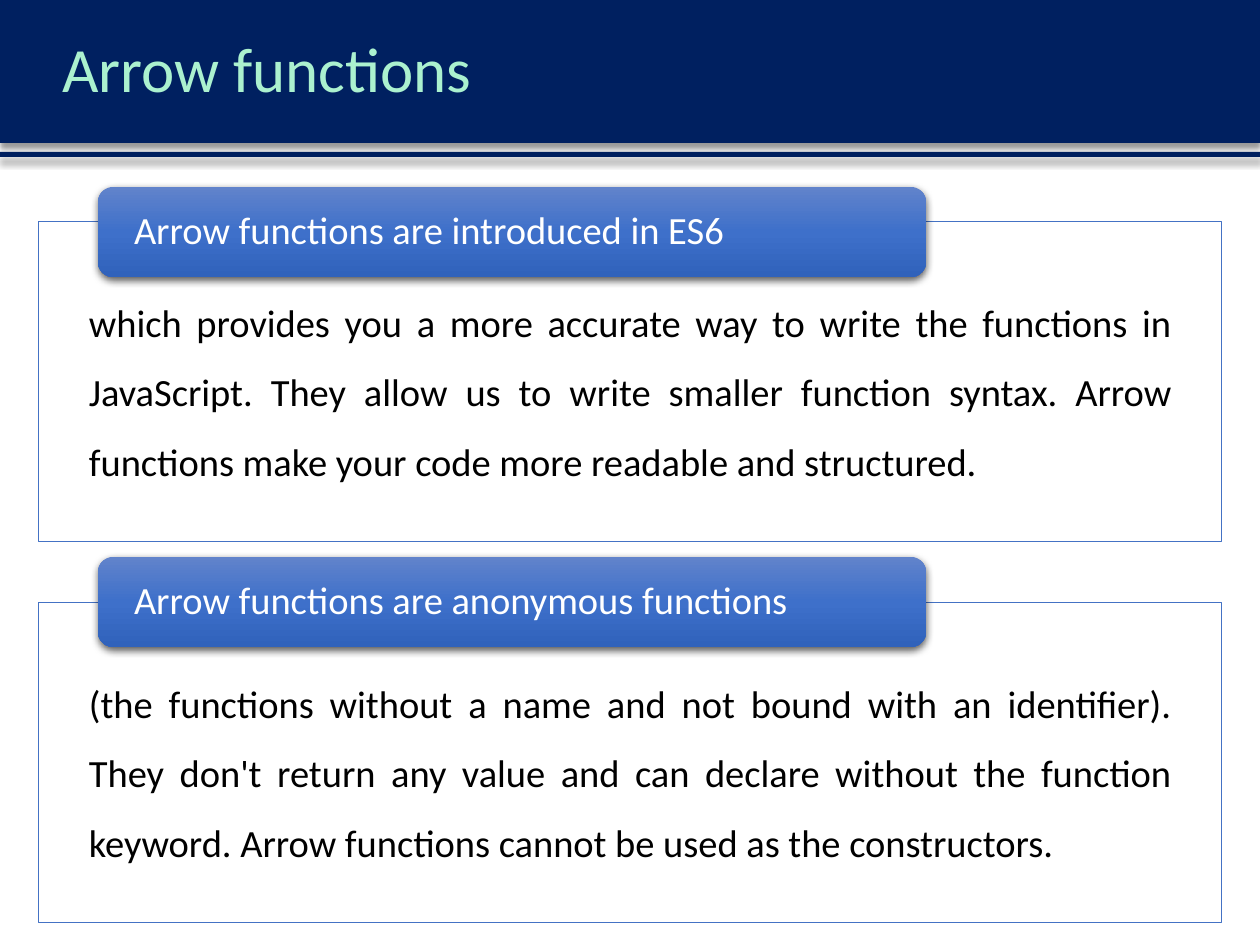
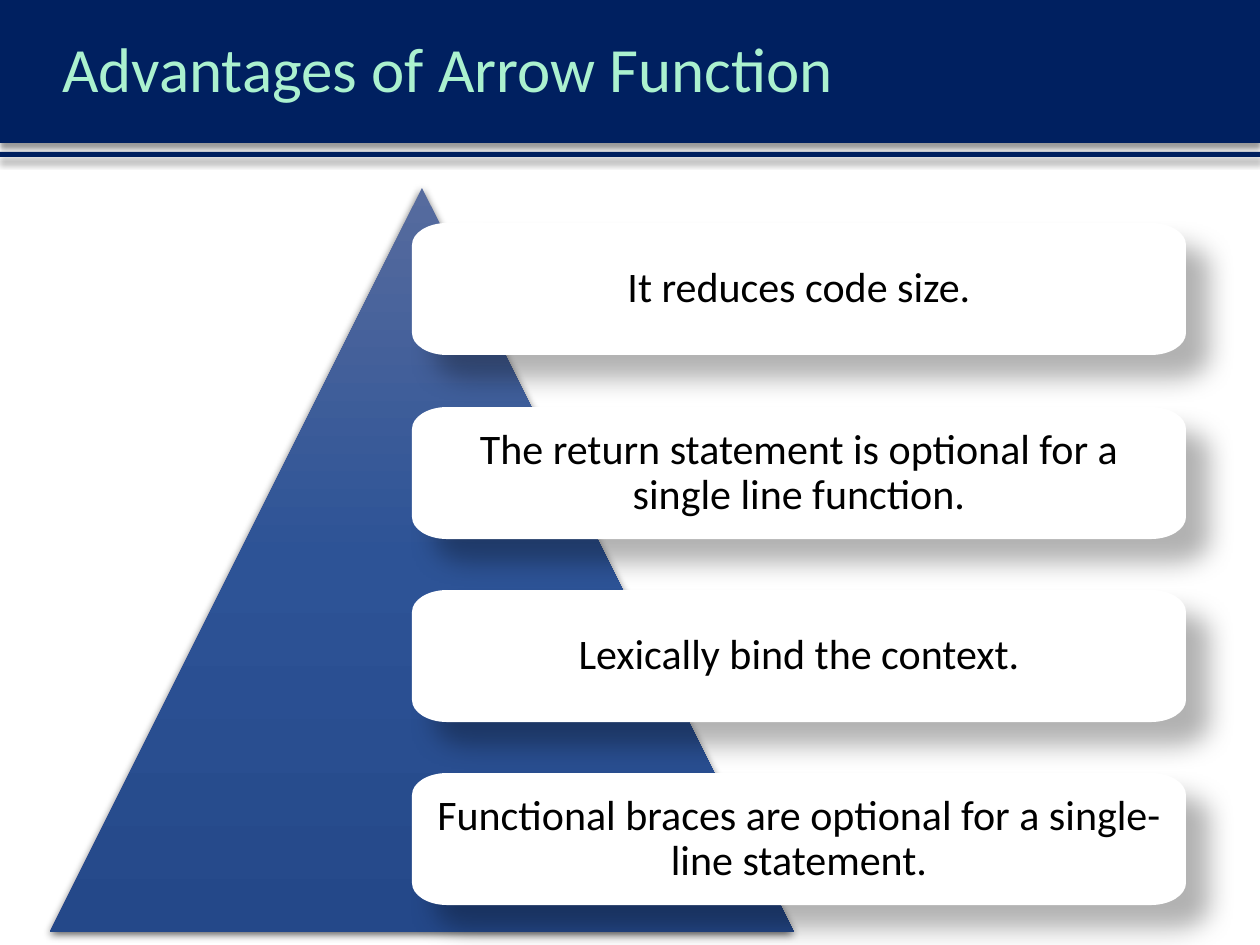
import math
from dataclasses import dataclass

from lxml import etree
from pptx import Presentation
from pptx.dml.color import RGBColor
from pptx.enum.shapes import MSO_SHAPE
from pptx.enum.text import MSO_ANCHOR, MSO_AUTO_SIZE, PP_ALIGN
from pptx.oxml.ns import qn
from pptx.util import Emu, Pt

RECTANGLE = MSO_SHAPE.RECTANGLE
TRIANGLE = MSO_SHAPE.ISOSCELES_TRIANGLE
LEFT, CENTER, JUSTIFY = PP_ALIGN.LEFT, PP_ALIGN.CENTER, PP_ALIGN.JUSTIFY
TOP, MIDDLE = MSO_ANCHOR.TOP, MSO_ANCHOR.MIDDLE

FONT = "Calibri"
NAVY = "002060"
MINT = "ABF1CF"
BLUE = "4472C4"
WHITE = "FFFFFF"
BLACK = "000000"
TAB_GRADIENT = ("6183CB", "3E70CA", "3062BB")
PYRAMID_GRADIENT = ("566B9E", "2D5396", "244889")
TITLE_ONLY = 5
CURVE = 0.55


@dataclass(frozen=True)
class Box:
    left: int
    top: int
    width: int
    height: int

    def emu(self) -> list[Emu]:
        return [px(value) for value in (self.left, self.top, self.width, self.height)]


@dataclass(frozen=True)
class Shadow:
    opacity: int
    blur: float
    distance: float
    angle: int


@dataclass(frozen=True)
class TextStyle:
    size: int
    color: str
    align: PP_ALIGN
    anchor: MSO_ANCHOR
    spacing: float
    margins: tuple[int, int, int, int]


@dataclass(frozen=True)
class Section:
    tab_top: int
    body_top: int
    heading: str
    body: str


BAND_SHADOW = Shadow(40, 4, 3, 90)
RAISED_SHADOW = Shadow(63, 4.5, 1.5, 90)
CARD_SHADOW = Shadow(30, 15, 18, 45)

TITLE_STYLE = TextStyle(36, MINT, LEFT, MIDDLE, 0.9, (12, 6, 12, 6))
BODY_STYLE = TextStyle(22, BLACK, JUSTIFY, TOP, 1.5, (50, 55, 50, 21))
TAB_STYLE = TextStyle(22, WHITE, LEFT, MIDDLE, 0.9, (36, 4, 36, 4))
CARD_STYLE = TextStyle(24, BLACK, CENTER, MIDDLE, 0.9, (15, 15, 15, 15))

TITLE_BOX = Box(50, 0, 1210, 144)
BANDS = (Box(0, 0, 1260, 143), Box(0, 152, 1260, 5))
PYRAMID_BOX = Box(50, 188, 744, 744)

SECTIONS = (
    Section(
        187, 221,
        "Arrow functions are introduced in ES6",
        "which provides you a more accurate way to write the functions in JavaScript. "
        "They allow us to write smaller function syntax. "
        "Arrow functions make your code more readable and structured.",
    ),
    Section(
        557, 602,
        "Arrow functions are anonymous functions",
        "(the functions without a name and not bound with an identifier). "
        "They don't return any value and can declare without the function keyword. "
        "Arrow functions cannot be used as the constructors.",
    ),
)
ADVANTAGES = (
    "It reduces code size.",
    "The return statement is optional for a single line function.",
    "Lexically bind the context.",
    "Functional braces are optional for a single-line statement.",
)


def px(value: float) -> Emu:
    return Emu(round(value * 914400 / 126))


def rgb(color: str) -> RGBColor:
    return RGBColor.from_string(color)


def set_fill(shape, color: str) -> None:
    shape.fill.solid()
    shape.fill.fore_color.rgb = rgb(color)


def set_gradient(shape, colors: tuple[str, ...]) -> None:
    shape.fill.gradient()
    shape.fill.gradient_angle = 270
    stops = shape._element.spPr.find(qn("a:gradFill")).find(qn("a:gsLst"))
    for stop in list(stops):
        stops.remove(stop)
    for index, color in enumerate(colors):
        position = 100000 * index // (len(colors) - 1)
        stop = etree.SubElement(stops, qn("a:gs"), pos=str(position))
        etree.SubElement(stop, qn("a:srgbClr"), val=color)


def set_shadow(shape, shadow: Shadow) -> None:
    shape.shadow.inherit = False
    effects = shape._element.spPr.find(qn("a:effectLst"))
    outer = etree.SubElement(
        effects, qn("a:outerShdw"),
        blurRad=str(Pt(shadow.blur)), dist=str(Pt(shadow.distance)),
        dir=str(shadow.angle * 60000), algn="ctr", rotWithShape="0",
    )
    color = etree.SubElement(outer, qn("a:srgbClr"), val=BLACK)
    etree.SubElement(color, qn("a:alpha"), val=str(shadow.opacity * 1000))


def write_text(shape, text: str, style: TextStyle) -> None:
    frame = shape.text_frame
    frame.word_wrap = True
    frame.auto_size = MSO_AUTO_SIZE.NONE
    frame.vertical_anchor = style.anchor
    (frame.margin_left, frame.margin_top,
     frame.margin_right, frame.margin_bottom) = map(px, style.margins)
    frame.text = text
    paragraph = frame.paragraphs[0]
    paragraph.alignment = style.align
    paragraph.line_spacing = style.spacing
    paragraph.font.name = FONT
    paragraph.font.size = Pt(style.size)
    paragraph.font.color.rgb = rgb(style.color)


def add_preset(slide, kind: MSO_SHAPE, box: Box):
    shape = slide.shapes.add_shape(kind, *box.emu())
    shape.shadow.inherit = False
    shape.line.fill.background()
    return shape


def round_corners(shape) -> None:
    outline = next(shape._element.iter(qn("a:path")))
    width, height = int(outline.get("w")), int(outline.get("h"))
    corners = ((0, 0), (width, 0), (width, height), (0, height))
    points = [(int(point.get("x")), int(point.get("y"))) for point in outline.iter(qn("a:pt"))]
    cut_lines = outline.findall(qn("a:lnTo"))[::2]
    for corner, line, start, end in zip(corners, cut_lines, points[::2], points[1::2]):
        curve = etree.Element(qn("a:cubicBezTo"))
        controls = [
            tuple(round(a + (c - a) * CURVE) for a, c in zip(anchor, corner))
            for anchor in (start, end)
        ]
        for x, y in (*controls, end):
            etree.SubElement(curve, qn("a:pt"), x=str(x), y=str(y))
        outline.replace(line, curve)


def add_rounded(slide, box: Box, radius_x: int, radius_y: int):
    left, top = box.left, box.top
    right, bottom = left + box.width, top + box.height
    start, *others = [
        (px(x), px(y)) for x, y in (
            (left, top + radius_y), (left + radius_x, top),
            (right - radius_x, top), (right, top + radius_y),
            (right, bottom - radius_y), (right - radius_x, bottom),
            (left + radius_x, bottom), (left, bottom - radius_y),
        )
    ]
    builder = slide.shapes.build_freeform(*start)
    builder.add_line_segments(others, close=True)
    shape = builder.convert_to_shape()
    round_corners(shape)
    shape.line.fill.background()
    return shape


def add_bands(presentation, slide) -> None:
    master_tree = presentation.slide_master.shapes._spTree
    for number, box in enumerate(BANDS, start=101):
        band = add_preset(slide, RECTANGLE, box)
        set_fill(band, NAVY)
        set_shadow(band, BAND_SHADOW)
        band._element.nvSpPr.cNvPr.set("id", str(number))
        master_tree.append(band._element)


def add_titled_slide(presentation, text: str):
    slide = presentation.slides.add_slide(presentation.slide_layouts[TITLE_ONLY])
    title = slide.shapes.title
    title.left, title.top, title.width, title.height = TITLE_BOX.emu()
    write_text(title, text, TITLE_STYLE)
    return slide


def add_section(slide, section: Section) -> None:
    body = add_preset(slide, RECTANGLE, Box(39, section.body_top, 1183, 320))
    set_fill(body, WHITE)
    body.line.color.rgb = rgb(BLUE)
    body.line.width = Pt(0.5)
    write_text(body, section.body, BODY_STYLE)

    tab = add_rounded(slide, Box(98, section.tab_top, 828, 90), 15, 15)
    set_gradient(tab, TAB_GRADIENT)
    set_shadow(tab, RAISED_SHADOW)
    write_text(tab, section.heading, TAB_STYLE)


def add_card(slide, box: Box, text: str) -> None:
    card = add_rounded(slide, box, 35, 22)
    set_fill(card, WHITE)
    set_shadow(card, CARD_SHADOW)
    write_text(card, text, CARD_STYLE)


def build_introduction(presentation) -> None:
    slide = add_titled_slide(presentation, "Arrow functions")
    add_bands(presentation, slide)
    for section in SECTIONS:
        add_section(slide, section)


def build_advantages(presentation) -> None:
    slide = add_titled_slide(presentation, "Advantages of Arrow Function")
    pyramid = add_preset(slide, TRIANGLE, PYRAMID_BOX)
    set_gradient(pyramid, PYRAMID_GRADIENT)
    set_shadow(pyramid, RAISED_SHADOW)
    for index, advantage in enumerate(ADVANTAGES):
        top = 223 + math.ceil(index * 550 / 3)
        add_card(slide, Box(412, top, 774, 132), advantage)


def main() -> None:
    presentation = Presentation()
    presentation.slide_width = px(1260)
    presentation.slide_height = px(945)
    build_introduction(presentation)
    build_advantages(presentation)
    presentation.save("out.pptx")


if __name__ == "__main__":
    main()
